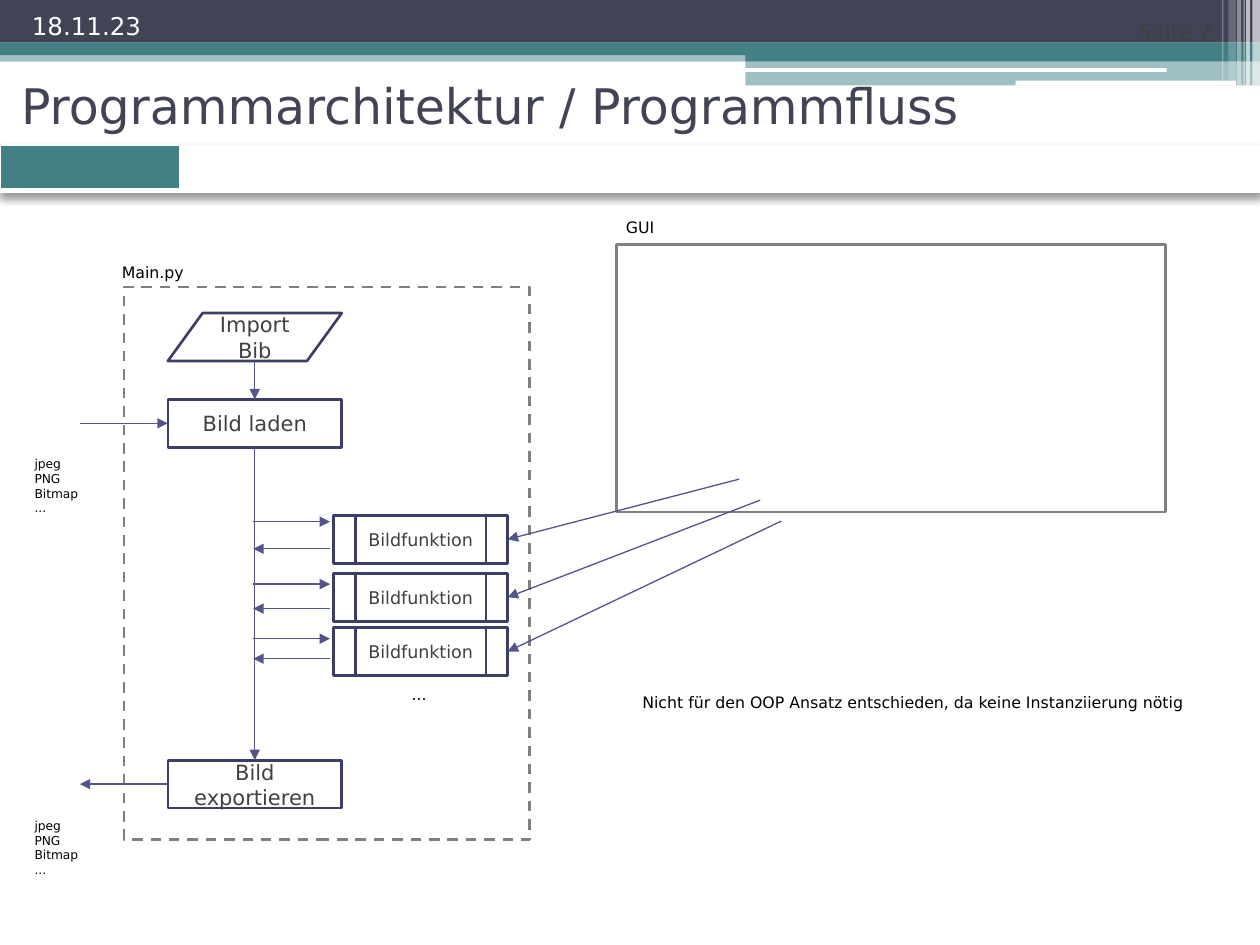
"""Build the slide on program architecture and program flow."""
from dataclasses import dataclass
from typing import Optional

from lxml import etree
from pptx import Presentation
from pptx import util as u
from pptx.dml import color as dml
from pptx.enum import dml as lines, shapes, text
from pptx.oxml import ns

FONT = "DejaVu Sans"
NAVY, TEAL, WHITE, BLACK = "424456", "438086", "FFFFFF", "000000"
FRAME, OUTLINE, ARROW, INK = "808080", "3D3E66", "53548A", "404040"
SHAPE, ALIGN, ANCHOR = shapes.MSO_SHAPE, text.PP_ALIGN, text.MSO_ANCHOR
NODE_WIDTH, NODE_HEIGHT = 99.4, 27.4
MAIN_LEFT, FUNCTION_LEFT = 95.9, 190.7
SPINE, CALL_LEFT, CALL_RIGHT, OUTSIDE = MAIN_LEFT + NODE_WIDTH / 2, 144.7, 188.6, 45.6


@dataclass
class Box:
    left: float
    top: float
    width: float
    height: float

    def emu(self):
        return [u.Pt(v) for v in (self.left, self.top, self.width, self.height)]


@dataclass
class Band:
    box: Box
    fill: str
    alpha: int = 100
    kind: SHAPE = SHAPE.RECTANGLE


@dataclass
class Label:
    words: str
    box: Box
    size: float = 9


@dataclass
class Function:
    top: float
    call: float
    answer: float


BANDS = [
    Band(Box(0, 28.8, 720, 6.5), TEAL, 50),
    Band(Box(0, 0, 720, 24.4), NAVY),
    Band(Box(0, 24.4, 720, 7.2), TEAL),
    Band(Box(426, 28, 294, 7), TEAL),
    Band(Box(426, 34.6, 294, 14.2), TEAL, 50),
    Band(Box(425.5, 38.9, 241.2, 2.2), WHITE, kind=SHAPE.ROUNDED_RECTANGLE),
    Band(Box(580.3, 46.1, 126, 2.9), WHITE, kind=SHAPE.ROUNDED_RECTANGLE),
    Band(Box(715.7, 0, 4.3, 49), WHITE, 65),
    Band(Box(712.1, 0, 2.2, 49), WHITE, 65),
    Band(Box(710.6, 0, 0.7, 49), WHITE, 60),
    Band(Box(707, 0, 2.2, 49), WHITE, 40),
    Band(Box(702, 0, 4.3, 46.1), WHITE, 20),
    Band(Box(698.4, 0, 0.7, 46.1), WHITE, 30),
]
FORMATS = "jpeg\nPNG\nBitmap\n..."
LABELS = [
    Label("Main.py", Box(62.6, 146.6, 50.4, 18)),
    Label("GUI", Box(350.6, 121, 32.4, 18)),
    Label("Nicht für den OOP Ansatz entschieden, da keine Instanziierung nötig",
          Box(360, 392.4, 329, 18)),
    Label(FORMATS, Box(12.7, 257.4, 42, 41), 7),
    Label(FORMATS, Box(12.7, 464, 42, 41), 7),
    Label("...", Box(228.2, 387.8, 24.5, 18)),
]
FUNCTIONS = [
    Function(294.5, 298.1, 313.6),
    Function(327.6, 333.8, 347.8),
    Function(358.6, 365, 376.4),
]


def rgb(value: str) -> dml.RGBColor:
    return dml.RGBColor.from_string(value)


def sub(parent, tag: str, **attributes):
    return etree.SubElement(parent, ns.qn(tag), **attributes)


def write(frame, words: str, *, size: float, color: str, align=ALIGN.LEFT,
          anchor=ANCHOR.TOP, wrap: bool = True) -> None:
    frame.word_wrap = wrap
    frame.vertical_anchor = anchor
    if not wrap:
        frame.auto_size = text.MSO_AUTO_SIZE.SHAPE_TO_FIT_TEXT
    for index, line in enumerate(words.split("\n")):
        paragraph = frame.add_paragraph() if index else frame.paragraphs[0]
        paragraph.alignment = align
        run = paragraph.add_run()
        run.text = line
        run.font.name, run.font.size = FONT, u.Pt(size)
        run.font.color.rgb = rgb(color)


def add_text(slide, words: str, box: Box, **style) -> None:
    write(slide.shapes.add_textbox(*box.emu()).text_frame, words, **style)


def add_band(slide, band: Band) -> None:
    shape = slide.shapes.add_shape(band.kind, *band.box.emu())
    shape.shadow.inherit = False
    shape.line.fill.background()
    shape.fill.solid()
    shape.fill.fore_color.rgb = rgb(band.fill)
    if band.alpha < 100:
        tint = shape._element.spPr.find(ns.qn("a:solidFill"))[0]
        sub(tint, "a:alpha", val=str(band.alpha * 1000))


def add_outline(slide, box: Box, color: str, kind=SHAPE.RECTANGLE):
    shape = slide.shapes.add_shape(kind, *box.emu())
    shape.shadow.inherit = False
    shape.fill.background()
    shape.line.color.rgb = rgb(color)
    shape.line.width = u.Pt(1.5)
    return shape


def add_node(slide, words: str, left: float, top: float, kind=SHAPE.RECTANGLE, size: float = 12):
    node = add_outline(slide, Box(left, top, NODE_WIDTH, NODE_HEIGHT), OUTLINE, kind)
    write(node.text_frame, words, size=size, color=INK, align=ALIGN.CENTER, anchor=ANCHOR.MIDDLE)
    return node


def add_arrow(slide, start: tuple, end: tuple, source: Optional[tuple] = None,
              target: Optional[tuple] = None) -> None:
    arrow = slide.shapes.add_connector(
        shapes.MSO_CONNECTOR.STRAIGHT, *(u.Pt(v) for v in (*start, *end)))
    if source:
        arrow.begin_connect(*source)
    if target:
        arrow.end_connect(*target)
    arrow.line.color.rgb = rgb(ARROW)
    arrow.line.width = u.Pt(0.75)
    properties = arrow._element.spPr
    sub(properties.find(ns.qn("a:ln")), "a:tailEnd", type="triangle")
    sub(properties, "a:effectLst")


def add_progress(slide, box: Box, steps: int = 7) -> None:
    table = slide.shapes.add_table(1, steps, *box.emu()).table
    table.first_row = table.horz_banding = False
    effects = etree.Element(ns.qn("a:effectLst"))
    shadow = sub(effects, "a:outerShdw", blurRad=str(u.Pt(4)), dist=str(u.Pt(2.5)),
                 dir="5400000", algn="t", rotWithShape="0")
    sub(sub(shadow, "a:srgbClr", val=BLACK), "a:alpha", val="40000")
    table._tbl.tblPr.insert(0, effects)
    for index in range(steps):
        cell = table.cell(0, index)
        cell.margin_top = cell.margin_bottom = 0
        properties = cell._tc.get_or_add_tcPr()
        for side, width in zip("LRTB", (1, 1, 1, 3)):
            border = sub(properties, f"a:ln{side}", w=str(u.Pt(width)))
            sub(sub(border, "a:solidFill"), "a:srgbClr", val=WHITE)
        cell.fill.solid()
        cell.fill.fore_color.rgb = rgb(WHITE if index else TEAL)


def add_flow(slide) -> None:
    load = add_node(slide, "Bild laden", MAIN_LEFT, 228.2)
    export = add_node(slide, "Bild exportieren", MAIN_LEFT, 434.4)
    add_node(slide, "Import Bib", MAIN_LEFT, 178.9, SHAPE.FLOWCHART_DATA)
    add_arrow(slide, (SPINE, 206.3), (SPINE, 228.2), target=(load, 0))
    add_arrow(slide, (SPINE, 255.6), (SPINE, 434.4), (load, 2), (export, 0))
    add_arrow(slide, (OUTSIDE, 241.9), (MAIN_LEFT, 241.9), target=(load, 1))
    add_arrow(slide, (MAIN_LEFT, 448.1), (OUTSIDE, 448.1), source=(export, 1))
    for index, function in enumerate(FUNCTIONS):
        node = add_node(slide, "Bildfunktion", FUNCTION_LEFT, function.top,
                        SHAPE.FLOWCHART_PREDEFINED_PROCESS, 10)
        trigger = (422.4 + 12 * index, 273.8 + 12 * index)
        side = (FUNCTION_LEFT + NODE_WIDTH, function.top + NODE_HEIGHT / 2)
        add_arrow(slide, trigger, side, target=(node, 3))
        add_arrow(slide, (CALL_LEFT, function.call), (CALL_RIGHT, function.call))
        add_arrow(slide, (CALL_RIGHT, function.answer), (CALL_LEFT, function.answer))


def main() -> None:
    deck = Presentation()
    deck.slide_width, deck.slide_height = u.Pt(720), u.Pt(540)
    slide = deck.slides.add_slide(deck.slide_layouts[6])
    for band in BANDS:
        add_band(slide, band)
    add_text(slide, "Seite 7", Box(575.3, 0, 124.4, 28.8), size=12, color=INK,
             align=ALIGN.RIGHT, anchor=ANCHOR.BOTTOM)
    add_progress(slide, Box(0, 83.2, 720, 25.8))
    program = add_outline(slide, Box(70.8, 164, 231.8, 315.8), FRAME)
    program.line.dash_style = lines.MSO_LINE.DASH
    add_outline(slide, Box(352.2, 139.6, 313.8, 153), FRAME)
    add_text(slide, "Programmarchitektur / Programmfluss", Box(5, 37.4, 648, 45.4),
             size=28, color=NAVY, anchor=ANCHOR.MIDDLE)
    add_text(slide, "18.11.23", Box(5, -2.2, 82.8, 28.8), size=14, color=WHITE,
             align=ALIGN.RIGHT, anchor=ANCHOR.BOTTOM)
    for label in LABELS:
        add_text(slide, label.words, label.box, size=label.size, color=BLACK, wrap=False)
    add_flow(slide)
    deck.save("out.pptx")


if __name__ == "__main__":
    main()
